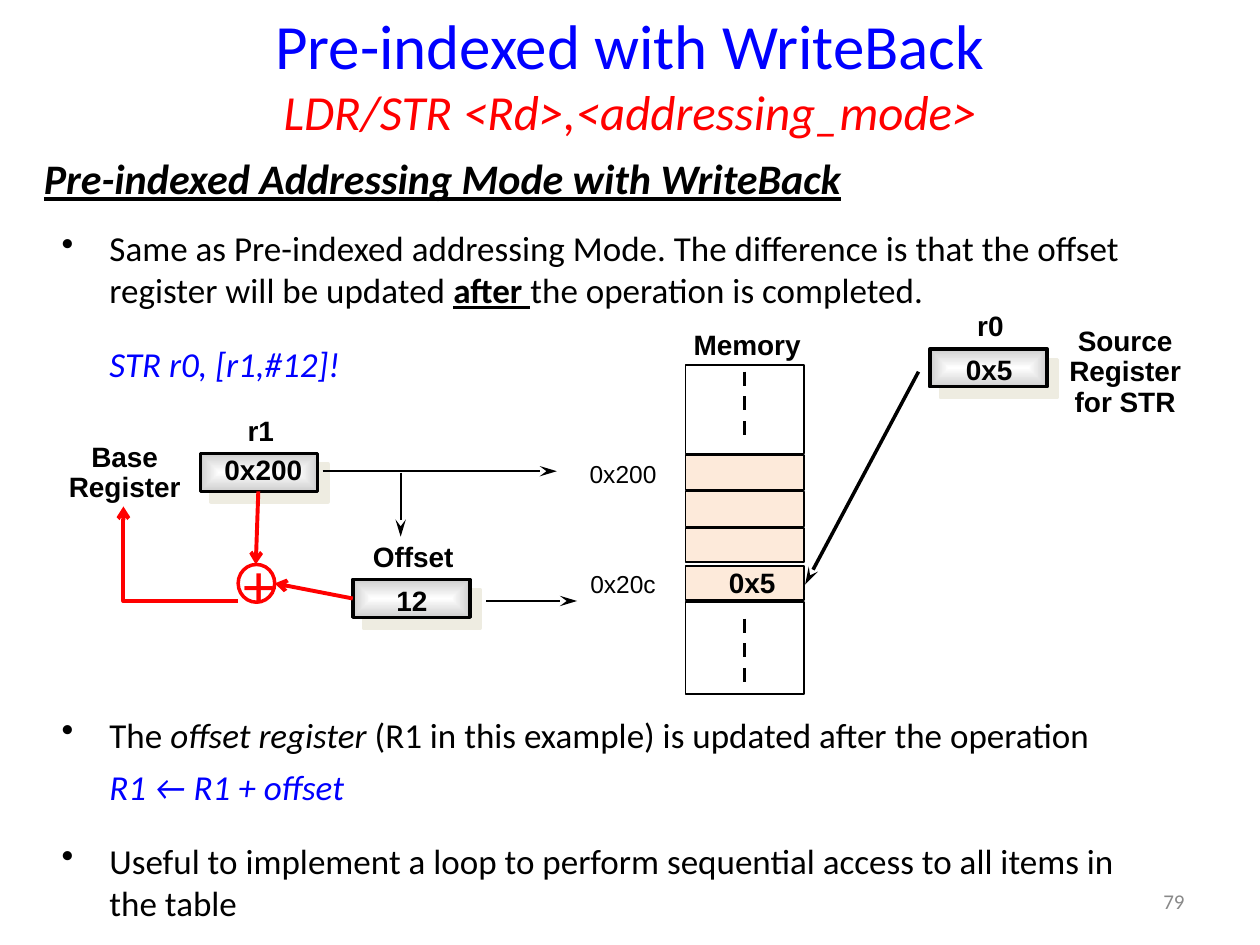
from lxml import etree
from pptx import Presentation
from pptx.dml.color import RGBColor
from pptx.enum.dml import MSO_LINE
from pptx.enum.shapes import MSO_CONNECTOR, MSO_SHAPE
from pptx.enum.text import MSO_ANCHOR, PP_ALIGN
from pptx.oxml import parse_xml
from pptx.oxml.ns import qn
from pptx.util import Inches, Pt

DASH = MSO_LINE.DASH
STRAIGHT, ELBOW = MSO_CONNECTOR.STRAIGHT, MSO_CONNECTOR.ELBOW
RECTANGLE, OVAL = MSO_SHAPE.RECTANGLE, MSO_SHAPE.OVAL
TOP, MIDDLE = MSO_ANCHOR.TOP, MSO_ANCHOR.MIDDLE
LEFT, CENTER, RIGHT = PP_ALIGN.LEFT, PP_ALIGN.CENTER, PP_ALIGN.RIGHT
BLACK, BLUE, RED, PEACH, GREY = "000000", "0000FF", "FF0000", "FDEADA", "898989"
NAMESPACE = 'xmlns:a="http://schemas.openxmlformats.org/drawingml/2006/main"'
BEVEL = f"""<a:gradFill {NAMESPACE} rotWithShape="0"><a:gsLst>
<a:gs pos="0"><a:srgbClr val="FFFFFF"/></a:gs>
<a:gs pos="100000"><a:srgbClr val="CECECE"/></a:gs></a:gsLst>
<a:path path="shape"><a:fillToRect l="50000" t="50000" r="50000" b="50000"/></a:path>
</a:gradFill>"""
CAST_SHADOW = f"""<a:effectLst {NAMESPACE}>
<a:outerShdw dist="107950" dir="2700000" algn="ctr" rotWithShape="0">
<a:srgbClr val="EEECE1"/></a:outerShdw></a:effectLst>"""


def rgb(value):
    return RGBColor.from_string(value)


def add_text(paragraph, text, size=20, color=BLACK, font="Calibri",
             bold=False, italic=False, underline=False):
    for number, line in enumerate(text.split("\n")):
        if number:
            paragraph.add_line_break()
        run = paragraph.add_run()
        run.text = line
        run.font.name, run.font.size = font, Pt(size)
        run.font.color.rgb = rgb(color)
        run.font.bold, run.font.italic, run.font.underline = bold, italic, underline


class Diagram:
    """Draws slide elements on a grid of 100 columns by 75 rows."""

    def __init__(self, presentation):
        self.slide = presentation.slides.add_slide(presentation.slide_layouts[6])
        self.shapes = self.slide.shapes
        self.column = presentation.slide_width / 100
        self.row = presentation.slide_height / 75

    def place(self, x, y, width, height):
        return [round(x * self.column), round(y * self.row),
                round(width * self.column), round(height * self.row)]

    def text_box(self, *box, anchor=TOP):
        frame = self.shapes.add_textbox(*self.place(*box)).text_frame
        frame.word_wrap = True
        frame.vertical_anchor = anchor
        return frame

    def line_of_text(self, text, *box, align=LEFT, anchor=TOP, **style):
        paragraph = self.text_box(*box, anchor=anchor).paragraphs[0]
        paragraph.alignment = align
        add_text(paragraph, text, **style)
        return paragraph

    def label(self, text, *box, size=16, bold=True):
        self.line_of_text(text, *box, align=CENTER, size=size, bold=bold,
                          font="Arial").line_spacing = 0.9

    def bullets(self, items, *box):
        frame = self.text_box(*box)
        for number, (marked, gap, runs) in enumerate(items):
            paragraph = frame.add_paragraph() if number else frame.paragraphs[0]
            if number:
                paragraph.space_before = Pt(gap)
            properties = paragraph._p.get_or_add_pPr()
            properties.set("marL", str(Inches(0.38)))
            properties.set("indent", str(Inches(-0.38 if marked else 0)))
            mark = etree.SubElement(properties, qn("a:buChar" if marked else "a:buNone"))
            if marked:
                mark.set("char", "•")
            for text, style in runs:
                add_text(paragraph, text, **style)

    def block(self, *box, kind=RECTANGLE, fill=None, line=BLACK, weight=1):
        shape = self.shapes.add_shape(kind, *self.place(*box))
        shape.shadow.inherit = False
        if fill:
            shape.fill.solid()
            shape.fill.fore_color.rgb = rgb(fill)
        else:
            shape.fill.background()
        if line:
            shape.line.color.rgb = rgb(line)
            shape.line.width = Pt(weight)
        else:
            shape.line.fill.background()
        return shape

    def caption(self, shape, text, inset=0, **style):
        frame = shape.text_frame
        frame.margin_left = Inches(inset)
        frame.margin_right = frame.margin_top = frame.margin_bottom = 0
        frame.vertical_anchor = MIDDLE
        frame.paragraphs[0].alignment = CENTER
        add_text(frame.paragraphs[0], text, **style)

    def register(self, name, value, x, y, shift=(0, 0.1)):
        properties = self.block(x, y, 9.3, 3, weight=2)._element.spPr
        properties.replace(properties.find(qn("a:noFill")), parse_xml(BEVEL))
        properties.replace(properties.find(qn("a:effectLst")), parse_xml(CAST_SHADOW))
        self.label(name, x - 0.9, y - 3.4, 11.4, 3.2)
        self.label(value, x + shift[0], y + shift[1], 9.4, 3.2)

    def connect(self, start, end, color=BLACK, weight=1, arrow=None, size="med",
                dash=None, kind=STRAIGHT):
        ends = self.place(*start, *end)
        connector = self.shapes.add_connector(kind, *ends)
        connector.line.color.rgb = rgb(color)
        connector.line.width = Pt(weight)
        if dash:
            connector.line.dash_style = dash
        properties = connector._element.spPr
        if kind == ELBOW:
            properties.find(qn("a:prstGeom")).set("prst", "bentConnector2")
        if arrow:
            etree.SubElement(properties.find(qn("a:ln")), qn("a:tailEnd"),
                             type=arrow, w="med", len=size)
        etree.SubElement(properties, qn("a:effectLst"))


def main():
    presentation = Presentation()
    presentation.slide_width, presentation.slide_height = Inches(10), Inches(7.5)
    diagram = Diagram(presentation)

    heading = diagram.line_of_text("Pre-indexed with WriteBack", 5, 0, 90, 7.5,
                                   align=CENTER, size=36, color=BLUE)
    syntax = heading._parent.add_paragraph()
    syntax.alignment = CENTER
    add_text(syntax, "LDR/STR <Rd>,<addressing_mode>", size=28, color=RED, italic=True)
    diagram.line_of_text("Pre-indexed Addressing Mode with WriteBack", 2.5, 11.6, 90, 5.8,
                         size=24, bold=True, italic=True, underline=True)

    code = {"color": BLUE, "italic": True}
    diagram.bullets([
        (True, 0, [("Same as Pre-indexed addressing Mode. The difference is that "
                    "the offset register will be updated ", {}),
                   ("after ", {"bold": True, "underline": True}),
                   ("the operation is completed.", {})]),
        (False, 18, [("STR r0, [r1,#12]!", code)]),
        (True, 188, [("The ", {}), ("offset register", {"italic": True}),
                     (" (R1 in this example) is updated after the operation", {})]),
        (False, 6, [("R1 ← R1 + offset", code)]),
        (True, 18, [("Useful to implement a loop to perform sequential access "
                     "to all items in the table", {})]),
    ], 3.9, 17.5, 89.9, 56.5)

    diagram.register("r1", "0x200", 15.9, 36, shift=(0.3, -0.3))
    diagram.register("r0", "0x5", 73.8, 27.7)
    diagram.register("Offset", "12", 28, 46)
    diagram.label("Base\nRegister", 4.2, 34.7, 11.4, 5.5)
    diagram.label("Source\nRegister\nfor STR", 83.6, 25.5, 11.4, 7.8)

    diagram.label("Memory", 53.6, 25.8, 11.4, 3.2)
    for top, height, fill, line in [
            (36, 3.5, PEACH, None), (29, 7, None, BLACK), (39, 2.8, PEACH, BLACK),
            (41.9, 2.7, PEACH, BLACK), (36.1, 2.8, None, BLACK), (47.8, 7.3, None, BLACK)]:
        diagram.block(54.4, top, 9.4, height, fill=fill, line=line)
    stored = diagram.block(54.4, 44.9, 9.4, 2.7, fill=PEACH)
    diagram.caption(stored, "0x5", inset=0.12, size=16, font="Arial", bold=True)
    for top in (29.5, 49.1):
        diagram.connect((59.1, top), (59.1, top + 5.5), weight=2, dash=DASH)
    for address, top in [("0x200", 36.2), ("0x20c", 44.9)]:
        diagram.label(address, 44.75, top, 9.4, 3.1, size=14, bold=False)

    for start, end, weight in [
            ((25.6, 37.4), (44.2, 37.4), 1), ((31.8, 37.5), (31.8, 42.6), 1),
            ((38.6, 47.7), (45.8, 47.7), 1), ((72.9, 29.5), (63.9, 46.4), 2)]:
        diagram.connect(start, end, weight=weight, arrow="stealth", size="lg")
    for start, end, kind in [
            ((20.5, 39), (20.3, 44.8), STRAIGHT), ((28, 47.5), (21.8, 46.3), STRAIGHT),
            ((18.9, 47.7), (9.8, 40.2), ELBOW)]:
        diagram.connect(start, end, color=RED, weight=2.25, arrow="arrow", kind=kind)
    adder = diagram.block(18.9, 44.8, 2.9, 3, kind=OVAL, fill="FFFFFF", line=RED, weight=2)
    diagram.caption(adder, "+", size=36, color=RED)

    diagram.line_of_text("79", 71.7, 69.5, 23.3, 4, align=RIGHT, anchor=MIDDLE,
                         size=12, color=GREY)
    presentation.save("out.pptx")


if __name__ == "__main__":
    main()
